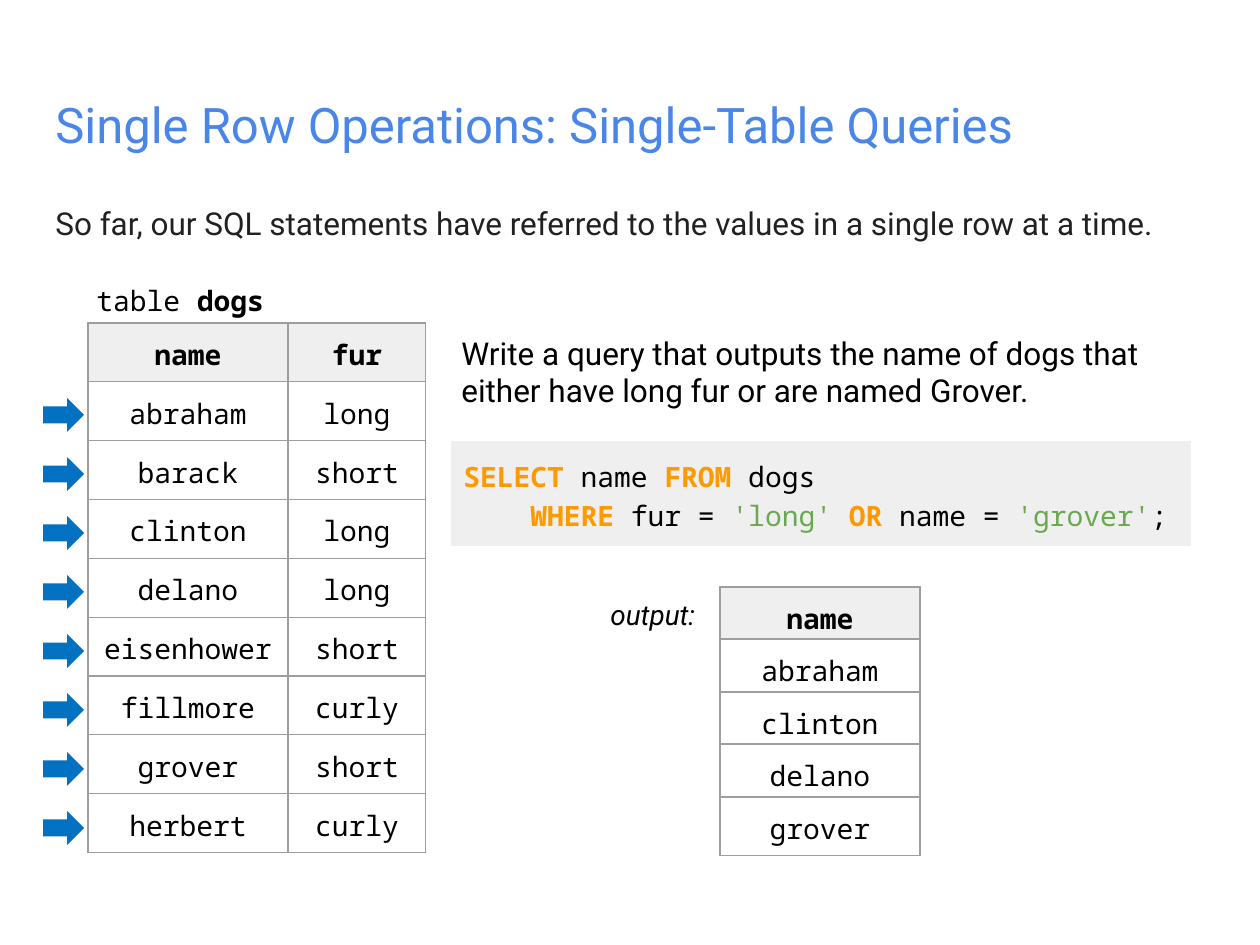
import pptx
import pptx.util
import pptx.dml.color
import pptx.enum.shapes
import pptx.enum.text
import pptx.oxml
import pptx.oxml.ns

RGBColor = pptx.dml.color.RGBColor
BLUE = RGBColor(0x4A, 0x86, 0xE8)
INK = RGBColor(0x21, 0x21, 0x21)
BLACK = RGBColor(0, 0, 0)
WHITE = RGBColor(0xFF, 0xFF, 0xFF)
PALE = RGBColor(0xEF, 0xEF, 0xEF)
GRID = RGBColor(0x9E, 0x9E, 0x9E)
ORANGE = RGBColor(0xFF, 0x99, 0x00)
GREEN = RGBColor(0x6A, 0xA8, 0x4F)
ARROW = RGBColor(0x03, 0x71, 0xC1)
SANS = "Roboto"
MONO = "Noto Sans Mono"


def px(length):
    return pptx.util.Emu(round(length * 914400 / 126))


class SlideBuilder:
    inset = pptx.util.Inches(0.1)
    border_width = pptx.util.Pt(0.75)

    def __init__(self, slide):
        self.slide = slide

    def style(self, paragraph, size, font=SANS, color=BLACK, bold=None, italic=None):
        paragraph.font.size = pptx.util.Pt(size)
        paragraph.font.name = font
        paragraph.font.color.rgb = color
        paragraph.font.bold = bold
        paragraph.font.italic = italic

    def frame(self, shape):
        frame = shape.text_frame
        frame.word_wrap = True
        frame.margin_left = frame.margin_right = self.inset
        frame.margin_top = frame.margin_bottom = self.inset
        return frame

    def text(self, box, wording, size, spacing=None, **look):
        frame = self.frame(self.slide.shapes.add_textbox(*map(px, box)))
        paragraph = frame.paragraphs[0]
        paragraph.text = wording
        paragraph.line_spacing = spacing
        self.style(paragraph, size, **look)
        return paragraph

    def shape(self, kind, box, fill):
        shape = self.slide.shapes.add_shape(kind, *map(px, box))
        shape.shadow.inherit = False
        shape.fill.solid()
        shape.fill.fore_color.rgb = fill
        shape.line.fill.background()
        return shape

    def arrow(self, box):
        self.shape(pptx.enum.shapes.MSO_SHAPE.RIGHT_ARROW, box, ARROW)

    def code(self, box, lines):
        panel = self.shape(pptx.enum.shapes.MSO_SHAPE.RECTANGLE, box, PALE)
        frame = self.frame(panel)
        frame.vertical_anchor = pptx.enum.text.MSO_ANCHOR.MIDDLE
        paragraph = frame.paragraphs[0]
        paragraph.alignment = pptx.enum.text.PP_ALIGN.LEFT
        paragraph.line_spacing = 1.15
        self.style(paragraph, 16, MONO)
        for number, line in enumerate(lines):
            if number:
                paragraph.add_line_break()
            for wording, color in line:
                run = paragraph.add_run()
                run.text = wording
                run.font.color.rgb = color
                run.font.bold = color == ORANGE

    def borders(self, cell):
        properties = cell._tc.get_or_add_tcPr()
        for position, side in enumerate(("lnL", "lnR", "lnT", "lnB")):
            properties.insert(position, pptx.oxml.parse_xml(
                f'<a:{side} {pptx.oxml.ns.nsdecls("a")} w="{self.border_width}">'
                f'<a:solidFill><a:srgbClr val="{GRID}"/></a:solidFill></a:{side}>'))

    def table(self, left, top, widths, row_height, rows, header=True, body_fill=None):
        table = self.slide.shapes.add_table(
            len(rows), len(widths), px(left), px(top),
            px(sum(widths)), px(row_height * len(rows))).table
        for column, width in zip(table.columns, widths):
            column.width = px(width)
        for number, values in enumerate(rows):
            table.rows[number].height = px(row_height)
            is_header = header and number == 0
            fill = PALE if is_header else body_fill
            for cell, value in zip(table.rows[number].cells, values):
                cell.margin_left = cell.margin_right = self.inset
                cell.margin_top = cell.margin_bottom = self.inset
                if fill is None:
                    cell.fill.background()
                else:
                    cell.fill.solid()
                    cell.fill.fore_color.rgb = fill
                self.borders(cell)
                paragraph = cell.text_frame.paragraphs[0]
                paragraph.text = value
                paragraph.alignment = pptx.enum.text.PP_ALIGN.CENTER
                self.style(paragraph, 16, MONO, bold=is_header)


def main():
    deck = pptx.Presentation()
    deck.slide_width, deck.slide_height = px(1260), px(945)
    page = SlideBuilder(deck.slides.add_slide(deck.slide_layouts[6]))

    page.text((43, 82, 1174, 104), "Single Row Operations: Single-Table Queries",
              28, color=BLUE)
    page.text((43, 186, 1174, 68),
              "So far, our SQL statements have referred to the values "
              "in a single row at a time.", 18, spacing=1.15, color=INK)

    dogs = [("name", "fur"), ("abraham", "long"), ("barack", "short"),
            ("clinton", "long"), ("delano", "long"), ("eisenhower", "short"),
            ("fillmore", "curly"), ("grover", "short"), ("herbert", "curly")]
    page.table(88, 323, (200, 138), 53, dogs)
    caption = page.text((84, 271, 268, 42), "table ", 16, font=MONO)
    table_name = caption.add_run()
    table_name.text = "dogs"
    table_name.font.bold = True

    page.code((451, 441, 740, 105), [
        [("SELECT", ORANGE), (" name ", BLACK), ("FROM", ORANGE), (" dogs", BLACK)],
        [("    ", BLACK), ("WHERE", ORANGE), (" fur = ", BLACK), ("'long' ", GREEN),
         ("OR", ORANGE), (" name = ", BLACK), ("'grover'", GREEN), (";", BLACK)]])

    for row in range(len(dogs) - 1):
        page.arrow((43, 398 + 59 * row, 41, 34))

    matches = ["name"] + [name for name, fur in dogs[1:]
                          if fur == "long" or name == "grover"]
    for row, name in enumerate(matches):
        page.table(720, 587 + 105 * row // 2, (200,), 53, [(name,)],
                   header=row == 0, body_fill=WHITE)

    page.text((449, 321, 740, 105),
              "Write a query that outputs the name of dogs that "
              "either have long fur or are named Grover.", 18)
    page.text((598, 585, 150, 54), "output:", 16, italic=True)

    deck.save("out.pptx")


if __name__ == "__main__":
    main()
